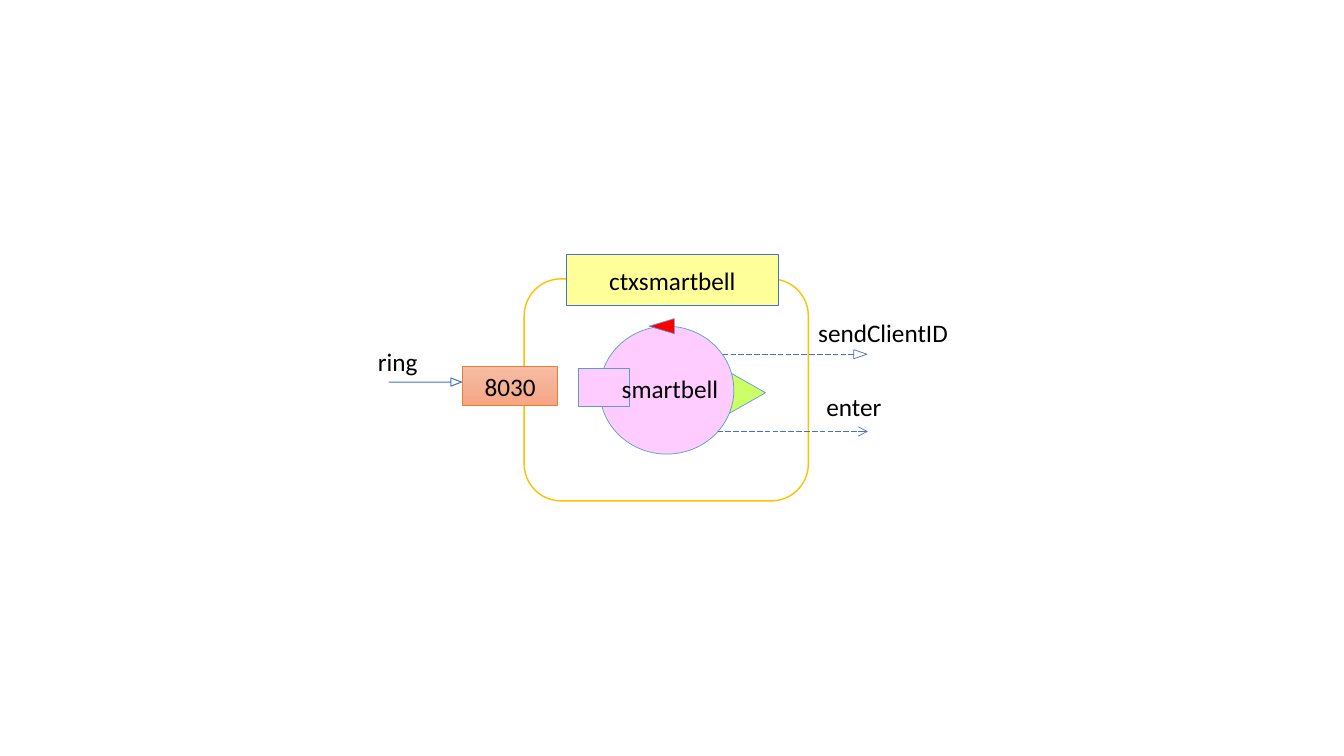
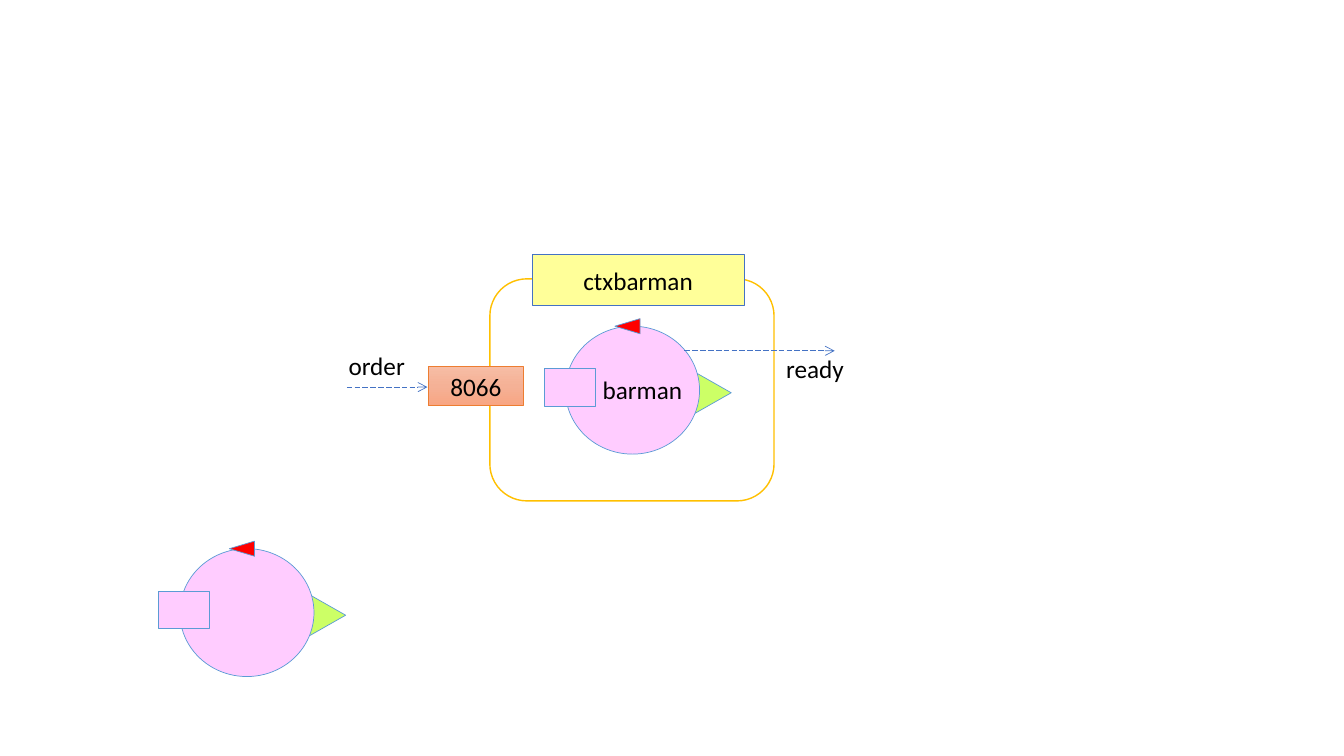
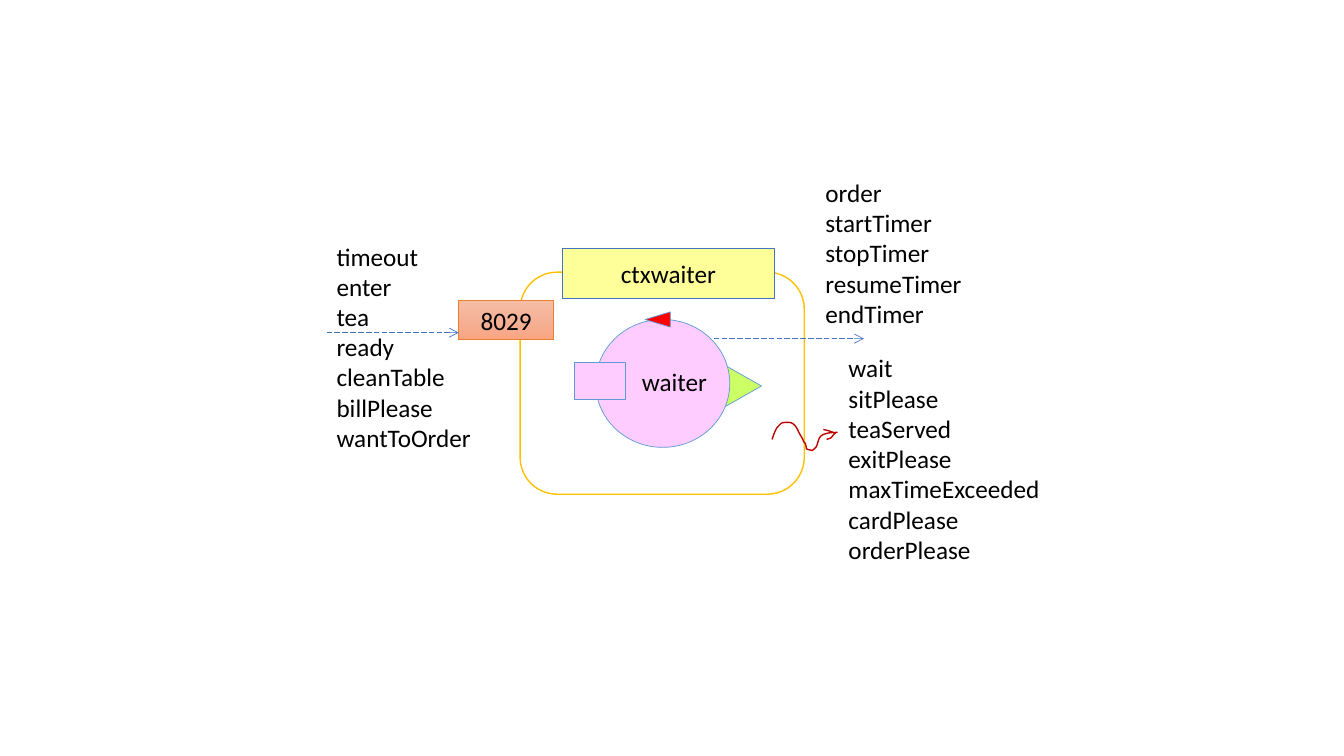
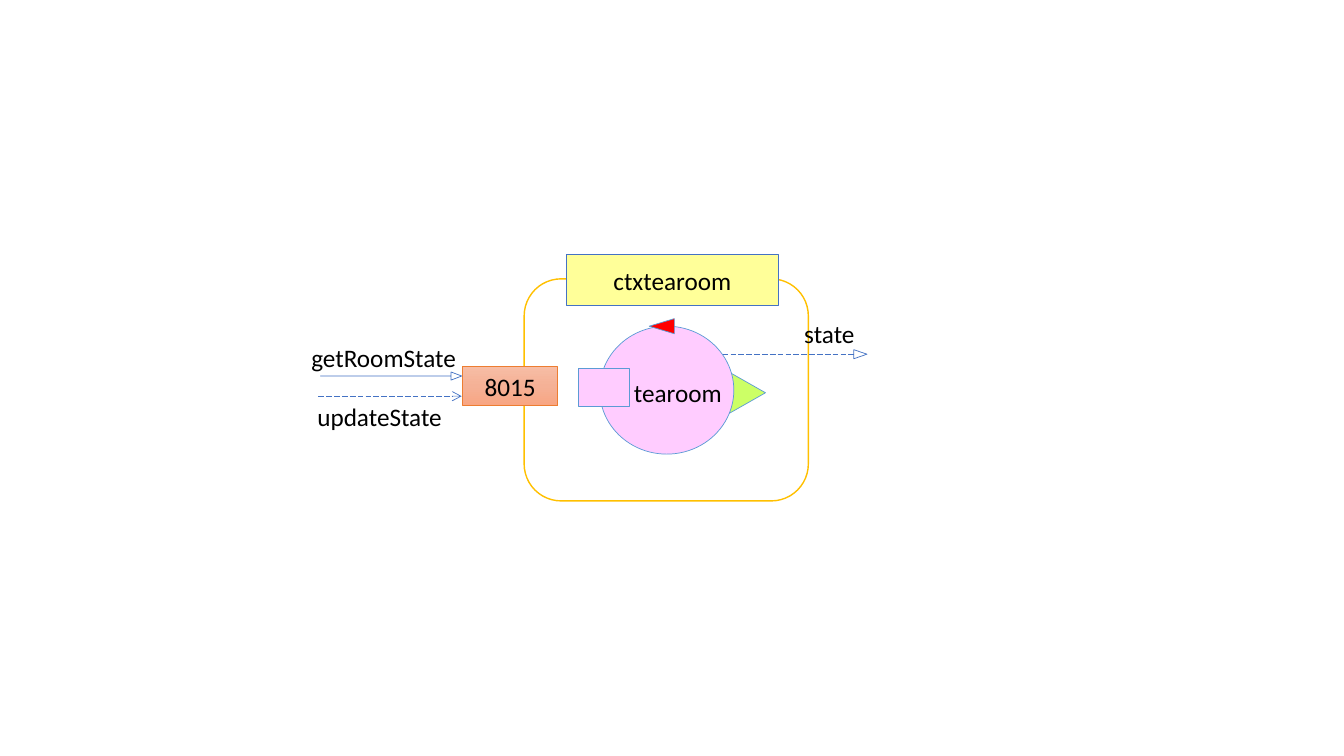
from copy import deepcopy

from lxml.etree import SubElement
from pptx import Presentation
from pptx.dml.color import RGBColor
from pptx.enum.dml import MSO_LINE
from pptx.enum.shapes import MSO_CONNECTOR, MSO_SHAPE
from pptx.enum.text import MSO_ANCHOR, MSO_AUTO_SIZE, PP_ALIGN
from pptx.oxml.ns import qn
from pptx.util import Pt

WHITE, BLACK, YELLOW, PINK = "FFFFFF", "000000", "FFFF99", "FFCCFF"
GREEN, RED, GOLD, DARK_RED = "CCFF66", "FF0000", "FFC000", "C00000"
BLUE, SKY, ORANGE = "4472C4", "5B9BD5", "ED7D31"
PORT_STOPS = [(0, "F7BDA5"), (0.5, "F5B196"), (1, "F8A582")]
FONT = {"name": "Calibri", "size": Pt(18)}
LINE_HEIGHT, TEXT_MARGINS = 21.6, 7.2


def color(code):
    return RGBColor.from_string(code)


def format_with(target, values):
    for name, value in values.items():
        setattr(target, name, value)


def curve_points(start, pieces, steps=8):
    """Points along a chain of cubic Bezier pieces."""
    points = [start]
    for piece in pieces:
        corners = [points[-1], *piece]
        for step in range(1, steps + 1):
            t = step / steps
            weights = ((1 - t) ** 3, 3 * t * (1 - t) ** 2, 3 * t * t * (1 - t), t ** 3)
            points.append(tuple(sum(w * corner[axis] for w, corner in zip(weights, corners))
                                for axis in (0, 1)))
    return points


class Diagram:
    def __init__(self):
        self.deck = Presentation()
        format_with(self.deck, {"slide_width": Pt(960), "slide_height": Pt(540)})

    def new_page(self):
        self.page = self.deck.slides.add_slide(self.deck.slide_layouts[6])

    # Basic elements
    def outline(self, item, line, weight):
        item.line.color.rgb = color(line)
        item.line.width = Pt(weight)

    def finish(self, box, fill, line, weight):
        box.shadow.inherit = False
        if fill:
            box.fill.solid()
            box.fill.fore_color.rgb = color(fill)
        else:
            box.fill.background()
        self.outline(box, line, weight)

    def shape(self, kind, left, top, width, height, fill, line, weight=0.5, turn=0):
        box = self.page.shapes.add_shape(kind, Pt(left), Pt(top), Pt(width), Pt(height))
        self.finish(box, fill, line, weight)
        box.rotation = turn
        return box

    def add_text(self, para, text):
        span = para.add_run()
        span.text = text
        format_with(span.font, FONT)
        span.font.color.rgb = color(BLACK)

    def titled_box(self, text, *place, fill, line):
        box = self.shape(MSO_SHAPE.RECTANGLE, *place, fill, line)
        box.text_frame.vertical_anchor = MSO_ANCHOR.MIDDLE
        para = box.text_frame.paragraphs[0]
        para.alignment = PP_ALIGN.CENTER
        self.add_text(para, text)
        return box

    def label(self, left, top, width, *lines):
        height = TEXT_MARGINS + LINE_HEIGHT * len(lines)
        box = self.page.shapes.add_textbox(Pt(left), Pt(top), Pt(width), Pt(height))
        frame = box.text_frame
        format_with(frame, {"word_wrap": False,
                            "auto_size": MSO_AUTO_SIZE.SHAPE_TO_FIT_TEXT})
        for index, line in enumerate(lines):
            para = frame.add_paragraph() if index else frame.paragraphs[0]
            self.add_text(para, line)

    def curve(self, start, *pieces):
        points = [(Pt(x), Pt(y)) for x, y in curve_points(start, pieces)]
        builder = self.page.shapes.build_freeform(*points[0])
        builder.add_line_segments(points[1:], close=False)
        self.finish(builder.convert_to_shape(), None, DARK_RED, 1)

    # Messages
    def dashed(self, start, end, y, head=True):
        link = self.page.shapes.add_connector(
            MSO_CONNECTOR.STRAIGHT, Pt(start), Pt(y), Pt(end), Pt(y))
        self.outline(link, BLUE, 0.5)
        link.line.dash_style = MSO_LINE.LONG_DASH
        properties = link._element.spPr
        if head:
            SubElement(properties.find(qn("a:ln")), qn("a:tailEnd"), type="arrow")
        SubElement(properties, qn("a:effectLst"))

    def request(self, left, top, width, weight):
        arrow = self.shape(MSO_SHAPE.RIGHT_ARROW, left, top, width, 5.8, None, BLUE, weight)
        arrow.adjustments[0], arrow.adjustments[1] = 0, 1.312

    def reply(self, start, end, y):
        self.dashed(start, end, y, head=False)
        self.shape(MSO_SHAPE.ISOSCELES_TRIANGLE, end + 1.5, y - 4.5, 6.5, 9.4,
                   None, BLUE, turn=90)

    # Actor and the context around it
    def actor(self, left, top):
        triangle = MSO_SHAPE.ISOSCELES_TRIANGLE
        self.shape(triangle, left + 44.6, top + 13, 78.5, 69.1, GREEN, SKY, turn=90)
        self.shape(MSO_SHAPE.OVAL, left, top, 95.8, 91.4, PINK, SKY)
        self.shape(MSO_SHAPE.RECTANGLE, left - 15.1, top + 30.4, 36.3, 26.8, PINK, SKY)
        self.shape(triangle, left + 38.9, top - 9, 10.8, 18, RED, SKY, turn=270)

    def port(self, number, left, top):
        box = self.titled_box(number, left, top, 68, 28.1, fill=WHITE, line=ORANGE)
        box.fill.gradient()
        box.fill.gradient_angle = 270
        stops = box._element.spPr.find(qn("a:gradFill")).find(qn("a:gsLst"))
        stops.insert(1, deepcopy(stops[0]))
        for stop, (position, code) in zip(box.fill.gradient_stops, PORT_STOPS):
            stop.position = position
            stop.color.rgb = color(code)

    def context(self, name, number, left, top, name_place, port_drop=62.6):
        self.shape(MSO_SHAPE.ROUNDED_RECTANGLE, left, top, 203, 158.6, WHITE, GOLD, 1)
        self.actor(left + 54, top + 33.8)
        across, down, width = name_place
        self.label(left + across, top + down, width, name)
        self.titled_box("ctx" + name, left + 30.2, top - 17.3, 151.4, 36.2,
                        fill=YELLOW, line=BLUE)
        self.port(number, left - 44, top + port_drop)


diagram = Diagram()

# Smartbell
diagram.new_page()
diagram.context("smartbell", "8030", 374.4, 199.2, (62.6, 64.2, 84.2))
diagram.dashed(512.6, 619.9, 308.2)
diagram.request(277.9, 270, 51.8, 0.75)
diagram.reply(516.2, 609.8, 252.8)
diagram.label(262.8, 244.1, 43.2, "ring")
diagram.label(577.4, 223.2, 108, "sendClientID")
diagram.label(583.2, 275.8, 54, "enter")

# Barman, with a free actor below
diagram.new_page()
diagram.context("barman", "8066", 349.9, 199.2, (73.5, 64.4, 72))
diagram.dashed(488.9, 596.2, 250.6)
diagram.label(241.9, 247, 55.4, "order")
diagram.label(554.4, 249.1, 56.2, "ready")
diagram.dashed(247.7, 305.3, 276.5)
diagram.actor(128.5, 391.9)

# Waiter
diagram.new_page()
diagram.context("waiter", "8029", 371.5, 194.4, (79.9, 63.6, 61.2), port_drop=20.2)
diagram.dashed(509.8, 617, 241.9)
diagram.label(233.3, 168.5, 111.6, "timeout", "enter", "tea", "ready", "cleanTable",
              "billPlease", "wantToOrder")
diagram.label(582.5, 123.1, 113, "order", "startTimer", "stopTimer", "resumeTimer",
              "endTimer")
diagram.label(599, 248.4, 152.6, "wait", "sitPlease", "teaServed", "exitPlease",
              "maxTimeExceeded", "cardPlease", "orderPlease")
diagram.dashed(233.3, 327.6, 237.6)

# Wavy event arrow and its two barbs
diagram.curve(
    (551.5, 313.9),
    [(552.2, 311.8), (553.7, 306.7), (555.8, 304.6)],
    [(556.6, 303.8), (557.3, 303.1), (558, 302.4)],
    [(559.4, 301.7), (560.9, 301.7), (562.3, 301.7)],
    [(563, 301.7), (565.2, 301.7), (565.9, 302.4)],
    [(568.8, 303.8), (570.2, 308.2), (571, 309.6)],
    [(572, 311.3), (573, 313), (573.8, 314.6)],
    [(573.8, 315.4), (574.6, 316.1), (575.3, 316.8)],
    [(576.7, 321.8), (574.6, 320.4), (580.3, 321.8)],
    [(582.5, 319.7), (583.2, 319.7), (583.9, 316.8)],
    [(584.6, 315.4), (584.6, 311.8), (588.2, 310.3)],
    [(592.6, 308.9), (594, 308.9), (598.3, 308.9)])
diagram.curve((596.9, 309.6), [(589.7, 306.7), (592.6, 308.2), (588.2, 306.7)])
diagram.curve((596.9, 308.9), [(592.6, 313.2), (595.4, 312.5), (590.4, 313.9)])

# Tearoom
diagram.new_page()
diagram.context("tearoom", "8015", 374.4, 199.2, (71.3, 66.5, 77.8))
diagram.dashed(227.5, 329.8, 283)
diagram.request(229, 265.7, 100.8, 0.5)
diagram.reply(516.2, 609.8, 252.8)
diagram.label(215.3, 241.2, 118.8, "getRoomState")
diagram.label(567.4, 223.9, 50.4, "state")
diagram.label(219.6, 283, 104.4, "updateState")

diagram.deck.save("out.pptx")
